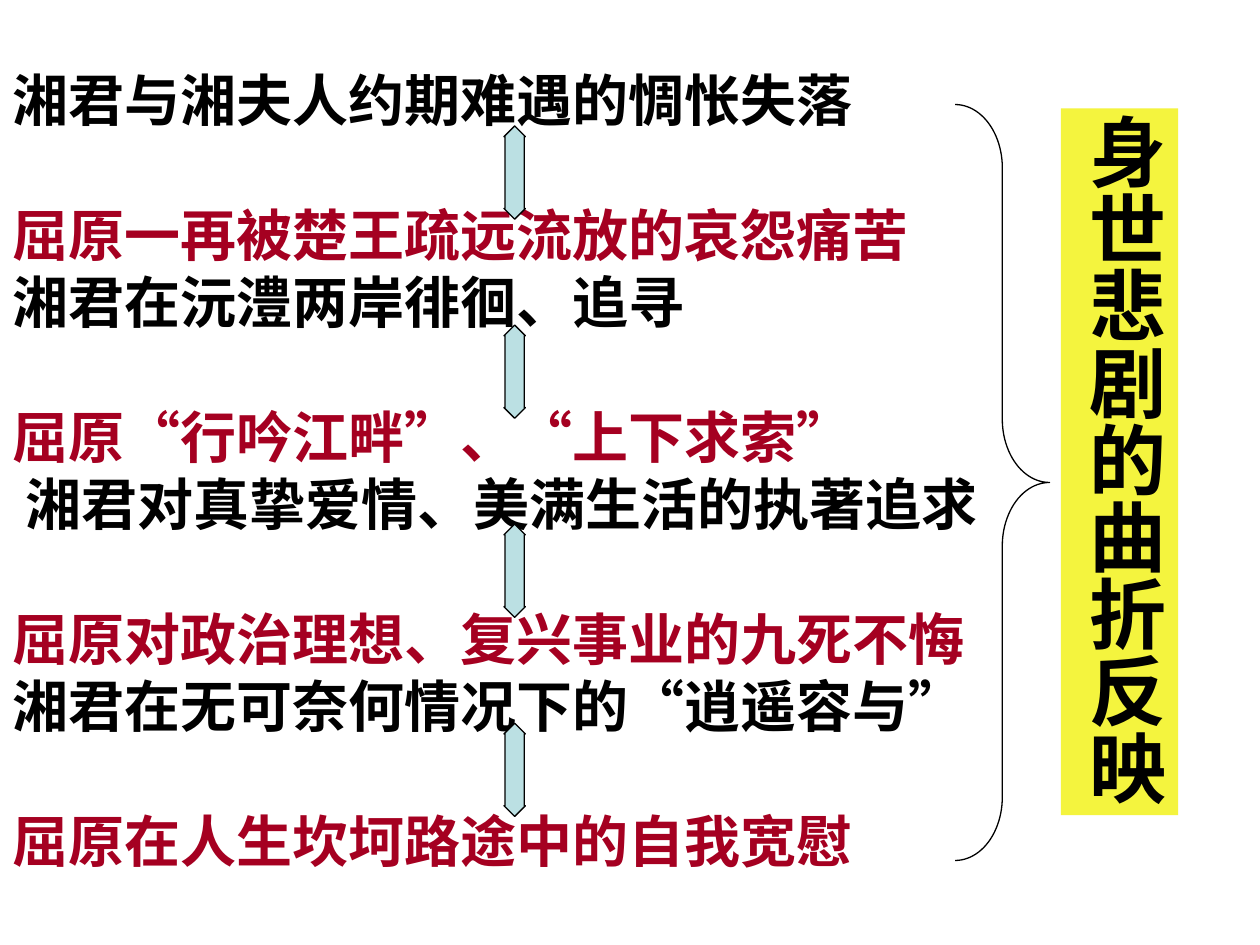
from dataclasses import dataclass

from lxml import etree
from pptx import Presentation
from pptx.dml.color import RGBColor
from pptx.enum import shapes, text
from pptx.oxml import ns
from pptx.util import Inches, Length, Pt


@dataclass(frozen=True)
class Theme:
    black: RGBColor = RGBColor(0, 0, 0)
    crimson: RGBColor = RGBColor(0xA5, 0x00, 0x21)
    yellow: RGBColor = RGBColor(0xF4, 0xF4, 0x3E)
    pale_blue: RGBColor = RGBColor(0xBB, 0xE0, 0xE3)
    latin_font: str = "Arial"
    chinese_font: str = "Noto Sans CJK SC"
    body_size: Length = Pt(32)
    title_size: Length = Pt(44)
    body_line: Length = Pt(38.5)
    outline: Length = Pt(0.75)


@dataclass(frozen=True)
class Parallel:
    poem: str
    poet: str
    indent: float = 0


THEME = Theme()
TITLE = "身世悲剧的曲折反映"
PARALLELS = [
    Parallel("湘君与湘夫人约期难遇的惆怅失落", "屈原一再被楚王疏远流放的哀怨痛苦"),
    Parallel("湘君在沅澧两岸徘徊、追寻", "屈原“行吟江畔”、“上下求索”"),
    Parallel("湘君对真挚爱情、美满生活的执著追求", "屈原对政治理想、复兴事业的九死不悔", 0.1),
    Parallel("湘君在无可奈何情况下的“逍遥容与”", "屈原在人生坎坷路途中的自我宽慰"),
]
ARROW_TOP = 1
ARROW_STEP = 1.58


def place(shape, left: float, top: float, width: float, height: float) -> None:
    shape.left, shape.top = Inches(left), Inches(top)
    shape.width, shape.height = Inches(width), Inches(height)


def set_insets(frame, horizontal: float, vertical: float) -> None:
    frame.margin_left = frame.margin_right = Inches(horizontal)
    frame.margin_top = frame.margin_bottom = Inches(vertical)
    frame.vertical_anchor = text.MSO_ANCHOR.TOP
    frame.auto_size = text.MSO_AUTO_SIZE.NONE


def style_paragraph(paragraph, latin: str, size: Length, color: RGBColor) -> None:
    paragraph.alignment = text.PP_ALIGN.LEFT
    font = paragraph.font
    font.name, font.size, font.bold = latin, size, True
    font.color.rgb = color
    properties = paragraph._p.pPr.find(ns.qn("a:defRPr"))
    east_asian = etree.SubElement(properties, ns.qn("a:ea"))
    east_asian.set("typeface", THEME.chinese_font)


def add_line(paragraph, content: str, color: RGBColor, indent: float, gap: Length) -> None:
    paragraph.text = content
    paragraph.line_spacing = THEME.body_line
    paragraph.space_before = gap
    properties = paragraph._p.get_or_add_pPr()
    properties.set("marL", str(Inches(indent)))
    properties.set("indent", "0")
    etree.SubElement(properties, ns.qn("a:buNone"))
    style_paragraph(paragraph, THEME.chinese_font, THEME.body_size, color)


def fill_body(body) -> None:
    place(body, 0, 0.47, 10, 7.04)
    frame = body.text_frame
    set_insets(frame, 0.1, 0.05)
    for index, parallel in enumerate(PARALLELS):
        paragraph = frame.add_paragraph() if index else frame.paragraphs[0]
        add_line(paragraph, parallel.poem, THEME.black, parallel.indent, Pt(0))
        add_line(frame.add_paragraph(), parallel.poet, THEME.crimson, 0, THEME.body_line)


def fill_title(title) -> None:
    place(title, 8.42, 0.86, 0.93, 5.61)
    title.fill.solid()
    title.fill.fore_color.rgb = THEME.yellow
    frame = title.text_frame
    set_insets(frame, 0.05, 0.04)
    frame.word_wrap = False
    frame._txBody.bodyPr.set("vert", "eaVert")
    frame.text = TITLE
    style_paragraph(frame.paragraphs[0], THEME.latin_font, THEME.title_size, THEME.black)


def add_outlined(slide, kind: shapes.MSO_SHAPE, left: float, top: float,
                 width: float, height: float, adjustments: tuple[float, float]):
    shape = slide.shapes.add_shape(
        kind, Inches(left), Inches(top), Inches(width), Inches(height))
    shape.shadow.inherit = False
    shape.line.color.rgb = THEME.black
    shape.line.width = THEME.outline
    for index, value in enumerate(adjustments):
        shape.adjustments[index] = value
    return shape


def main() -> None:
    presentation = Presentation()
    presentation.slide_width, presentation.slide_height = Inches(10), Inches(7.5)
    slide = presentation.slides.add_slide(presentation.slide_layouts[1])
    fill_title(slide.shapes.title)
    fill_body(slide.placeholders[1])
    for index in range(len(PARALLELS)):
        arrow = add_outlined(slide, shapes.MSO_SHAPE.UP_DOWN_ARROW, 4,
                             ARROW_TOP + index * ARROW_STEP, 0.17, 0.74, (0.5, 0.89))
        arrow.adjustments[0], arrow.adjustments[1] = 0.5, 0.89
        arrow.fill.solid()
        arrow.fill.fore_color.rgb = THEME.pale_blue
    brace = add_outlined(slide, shapes.MSO_SHAPE.RIGHT_BRACE, 7.58, 0.83, 0.75, 6, (0.67, 0.5))
    brace.fill.background()
    presentation.save("out.pptx")


if __name__ == "__main__":
    main()
